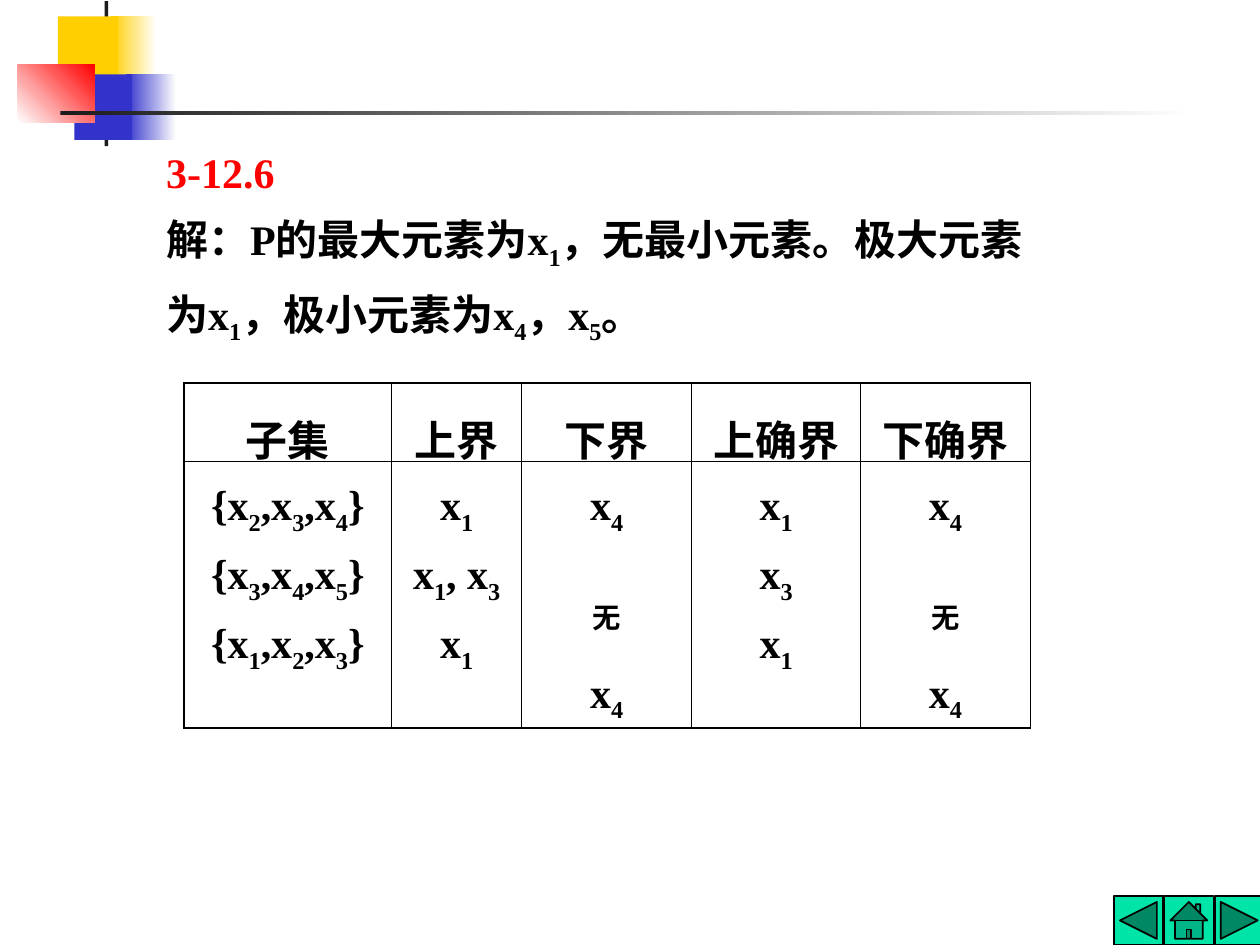
"""Build the slide with the solution to exercise 3-12.6 on partial orders."""
from dataclasses import dataclass
from typing import Optional

from lxml import etree
from pptx import Presentation
from pptx import util as u
from pptx.dml import color
from pptx.enum import shapes, text
from pptx.oxml import ns


@dataclass(frozen=True)
class Theme:
    font: str = "Times New Roman"
    body_size: float = 24
    none_size: float = 28
    line_spacing: float = 1.3
    none_space_after: float = 10.5
    subscript: str = "-25000"
    thin: float = 0.45
    thick: float = 1.08
    ink: str = "000000"
    paper: str = "FFFFFF"
    charcoal: str = "1C1C1C"
    red: str = "FF0000"
    yellow: str = "FFCF01"
    blue: str = "3333CC"
    button: str = "00E4A8"


@dataclass(frozen=True)
class Block:
    left: float
    top: float
    width: float
    height: float
    start: str
    end: Optional[str] = None
    angle: float = 0


THEME = Theme()
NONE_MARK = "_无"

BLOCKS = [
    Block(0.88, 0.13, 0.36, 0.52, THEME.yellow, THEME.paper),
    Block(1, 0.59, 0.4, 0.52, THEME.blue, THEME.paper),
    Block(0.83, 0.01, 0.03, 1.15, THEME.charcoal),
    Block(0.46, 0.13, 0.48, 0.52, THEME.yellow),
    Block(0.59, 0.59, 0.46, 0.52, THEME.blue),
    Block(0.14, 0.51, 0.61, 0.46, THEME.paper, THEME.red, 45),
    Block(0.48, 0.88, 9, 0.03, THEME.charcoal, THEME.paper),
]

BUTTONS = [
    shapes.MSO_SHAPE.ACTION_BUTTON_BACK_OR_PREVIOUS,
    shapes.MSO_SHAPE.ACTION_BUTTON_HOME,
    shapes.MSO_SHAPE.ACTION_BUTTON_FORWARD_OR_NEXT,
]

ANSWER = "解：P的最大元素为x_1，无最小元素。极大元素为x_1，极小元素为x_4，x_5。"

COLUMN_WIDTHS = [1.65, 1.03, 1.35, 1.34, 1.35]
ROW_HEIGHTS = [0.62, 2.12]
LOWER_BOUNDS = ["x_4", NONE_MARK, "x_4"]
BOUNDS = [
    [["子集"], ["上界"], ["下界"], ["上确界"], ["下确界"]],
    [
        ["{x_2,x_3,x_4}", "{x_3,x_4,x_5}", "{x_1,x_2,x_3}"],
        ["x_1", "x_1, x_3", "x_1"],
        LOWER_BOUNDS,
        ["x_1", "x_3", "x_1"],
        LOWER_BOUNDS,
    ],
]


def rgb(value: str) -> color.RGBColor:
    return color.RGBColor.from_string(value)


def draw_block(slide, block: Block) -> None:
    shape = slide.shapes.add_shape(
        shapes.MSO_SHAPE.RECTANGLE,
        u.Inches(block.left), u.Inches(block.top),
        u.Inches(block.width), u.Inches(block.height),
    )
    shape.shadow.inherit = False
    shape.line.fill.background()
    if block.end is None:
        shape.fill.solid()
        shape.fill.fore_color.rgb = rgb(block.start)
        return
    shape.fill.gradient()
    shape.fill.gradient_angle = block.angle
    for stop, value in zip(shape.fill.gradient_stops, (block.start, block.end)):
        stop.color.rgb = rgb(value)


def draw_button(slide, preset: shapes.MSO_SHAPE, left: float) -> None:
    shape = slide.shapes.add_shape(
        preset, u.Inches(left), u.Inches(7.11), u.Inches(0.39), u.Inches(0.39)
    )
    shape.shadow.inherit = False
    shape.fill.solid()
    shape.fill.fore_color.rgb = rgb(THEME.button)
    shape.line.color.rgb = rgb(THEME.ink)
    shape.line.width = u.Pt(1)


def add_run(paragraph, content: str, value: str, size: float, lowered: bool) -> None:
    run = paragraph.add_run()
    run.text = content
    run.font.name = THEME.font
    run.font.size = u.Pt(size)
    run.font.bold = True
    run.font.color.rgb = rgb(value)
    if lowered:
        run.font._element.set("baseline", THEME.subscript)


def write_line(paragraph, line: str, value: str = THEME.ink) -> None:
    """Write a line in which an underscore lowers the character after it."""
    paragraph.line_spacing = THEME.line_spacing
    size = THEME.body_size
    if line == NONE_MARK:
        size = THEME.none_size
        paragraph.space_after = u.Pt(THEME.none_space_after)
    first, *rest = line.split("_")
    pieces = [(first, False)]
    for part in rest:
        pieces += [(part[0], True), (part[1:], False)]
    for content, lowered in pieces:
        if content:
            add_run(paragraph, content, value, size, lowered)


def draw_solution(slide) -> None:
    box = slide.shapes.add_textbox(
        u.Inches(1.22), u.Inches(0.99), u.Inches(7.24), u.Inches(1.81)
    )
    frame = box.text_frame
    frame.word_wrap = True
    frame.auto_size = text.MSO_AUTO_SIZE.SHAPE_TO_FIT_TEXT
    write_line(frame.paragraphs[0], "3-12.6", THEME.red)
    write_line(frame.add_paragraph(), ANSWER)


def set_borders(cell, widths: dict[str, float]) -> None:
    properties = cell._tc.get_or_add_tcPr()
    for index, (side, width) in enumerate(widths.items()):
        line = etree.Element(ns.qn(f"a:ln{side}"), w=str(int(u.Pt(width))))
        fill = etree.SubElement(line, ns.qn("a:solidFill"))
        etree.SubElement(fill, ns.qn("a:srgbClr"), val=THEME.ink)
        properties.insert(index, line)


def fill_cell(cell, lines: list[str], borders: dict[str, float]) -> None:
    cell.fill.background()
    set_borders(cell, borders)
    frame = cell.text_frame
    for index, line in enumerate(lines):
        paragraph = frame.add_paragraph() if index else frame.paragraphs[0]
        paragraph.alignment = text.PP_ALIGN.CENTER
        write_line(paragraph, line)


def draw_bounds_table(slide) -> None:
    rows, columns = len(ROW_HEIGHTS), len(COLUMN_WIDTHS)
    table = slide.shapes.add_table(
        rows, columns, u.Inches(1.46), u.Inches(3.04),
        u.Inches(sum(COLUMN_WIDTHS)), u.Inches(sum(ROW_HEIGHTS)),
    ).table
    table.first_row = table.horz_banding = False
    for column, width in zip(table.columns, COLUMN_WIDTHS):
        column.width = u.Inches(width)
    for r, (row, height) in enumerate(zip(table.rows, ROW_HEIGHTS)):
        row.height = u.Inches(height)
        for c, cell in enumerate(row.cells):
            outer = {"L": c == 0, "R": c == columns - 1, "T": r == 0, "B": r == rows - 1}
            borders = {s: THEME.thick if edge else THEME.thin for s, edge in outer.items()}
            fill_cell(cell, BOUNDS[r][c], borders)


def main() -> None:
    presentation = Presentation()
    presentation.slide_width = u.Inches(10)
    presentation.slide_height = u.Inches(7.5)
    slide = presentation.slides.add_slide(presentation.slide_layouts[6])
    for block in BLOCKS:
        draw_block(slide, block)
    for index, preset in enumerate(BUTTONS):
        draw_button(slide, preset, 8.84 + 0.4 * index)
    draw_solution(slide)
    draw_bounds_table(slide)
    presentation.save("out.pptx")


if __name__ == "__main__":
    main()
